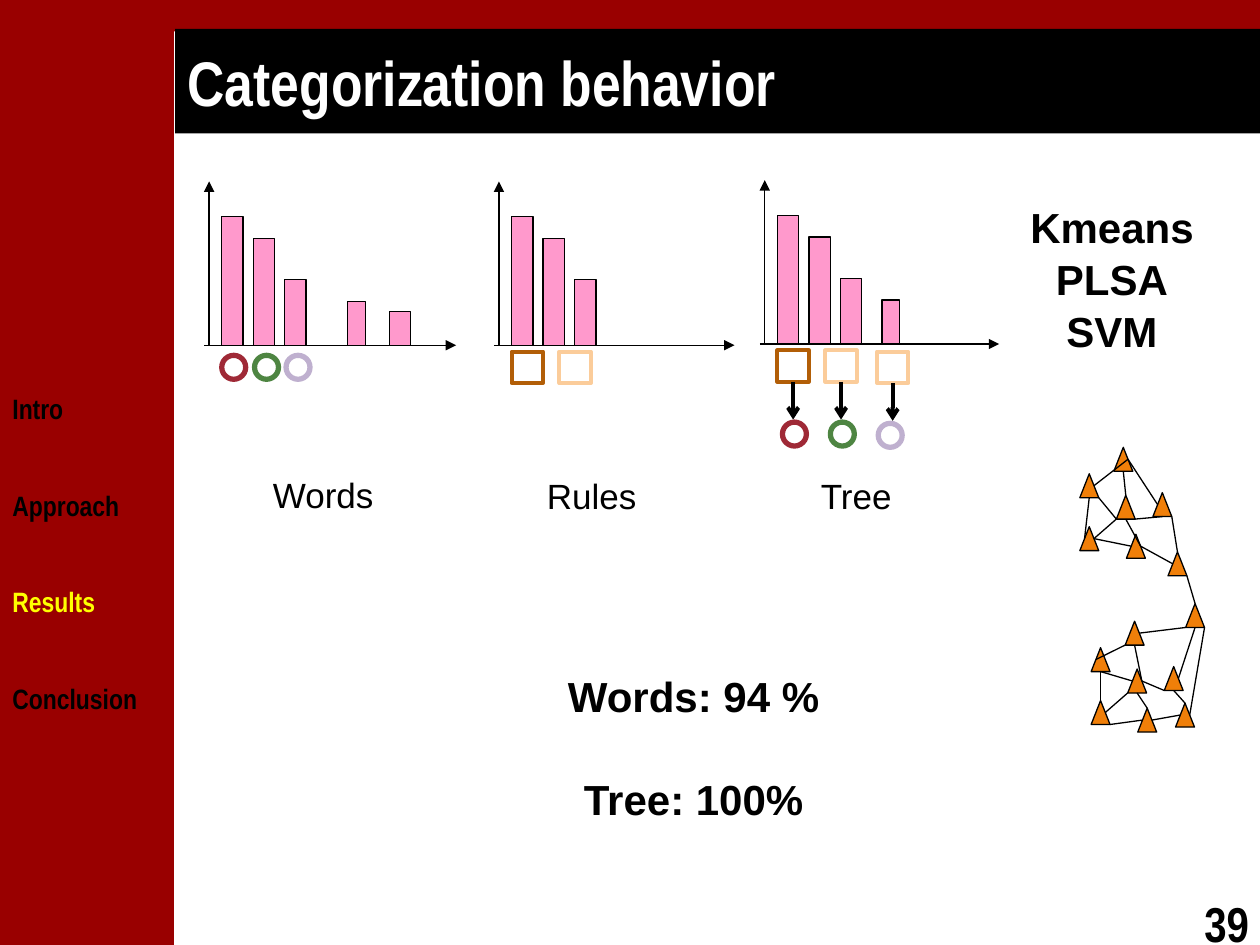
from lxml.etree import SubElement
from pptx import Presentation
from pptx.dml.color import RGBColor
from pptx.enum.shapes import MSO_CONNECTOR, MSO_SHAPE
from pptx.enum.text import MSO_ANCHOR, MSO_AUTO_SIZE, PP_ALIGN
from pptx.oxml.ns import qn
from pptx.util import Inches, Pt

BLACK = RGBColor(0x00, 0x00, 0x00)
WHITE = RGBColor(0xFF, 0xFF, 0xFF)
DARK_RED = RGBColor(0x99, 0x00, 0x00)
YELLOW = RGBColor(0xFF, 0xFF, 0x00)
PINK = RGBColor(0xFF, 0x99, 0xCC)
ORANGE = RGBColor(0xF0, 0x7F, 0x09)
CRIMSON = RGBColor(0x9F, 0x29, 0x36)
GREEN = RGBColor(0x4E, 0x85, 0x42)
LILAC = RGBColor(0xBF, 0xB0, 0xCF)
BROWN = RGBColor(0xB2, 0x5E, 0x07)
PEACH = RGBColor(0xFB, 0xCC, 0x9A)

# Content
TITLE = "Categorization behavior"
SECTIONS = ["Intro", "Approach", "Results", "Conclusion"]
CURRENT = "Results"
METHODS = ["Kmeans", "PLSA", "SVM"]
SCORES = ["Words: 94 %", "Tree: 100%"]

# Bars are (offset from the axis, width, height), markers (offset, drop, colour)
COMMON_BARS = [(0.10, 0.17, 1.02), (0.35, 0.17, 0.85), (0.60, 0.17, 0.52)]
HISTOGRAMS = [
    dict(label="Words", label_at=(1.69, 3.71), origin=(1.66, 2.74), length=2.0,
         bars=[(1.10, 0.14, 0.35), (1.43, 0.17, 0.27)], squares=[],
         circles=[(0.10, 0.08, CRIMSON), (0.36, 0.08, GREEN), (0.61, 0.08, LILAC)]),
    dict(label="Rules", label_at=(3.82, 3.72), origin=(3.96, 2.74), length=1.91,
         bars=[], circles=[],
         squares=[(0.10, 0.05, BROWN), (0.48, 0.05, PEACH)]),
    dict(label="Tree", label_at=(5.92, 3.72), origin=(6.07, 2.73), length=1.9,
         bars=[(0.93, 0.14, 0.35)],
         squares=[(0.10, 0.05, BROWN), (0.48, 0.05, PEACH), (0.89, 0.06, PEACH)],
         circles=[(0.14, 0.62, CRIMSON), (0.52, 0.62, GREEN), (0.90, 0.63, LILAC)]),
]

# Network: the lower cluster (small letters) repeats the upper one, shifted
CLUSTER = {"A": (8.57, 3.76), "B": (8.57, 4.18), "C": (8.86, 3.93),
           "D": (8.84, 3.55), "E": (8.94, 4.24), "F": (9.15, 3.91)}
SHIFT = (0.09, 1.38)
BRIDGE = {"G": (9.27, 4.38), "H": (9.41, 4.79), "g": (9.33, 5.58)}
NODE_W, NODE_H = 0.15, 0.19
# Points of a triangle as fractions of its box
SITES = {"top": (0.5, 0), "left": (0.25, 0.5), "right": (0.75, 0.5),
         "bl": (0, 1), "base": (0.5, 1), "br": (1, 1)}
EDGES = """
C.top D.base, C.bl A.br, C.br F.base, A.base B.left, A.right D.right,
F.br G.top, G.left E.right, E.left B.right, E.right C.base, D.right F.left,
B.right C.bl, G.br H.top, H.bl d.right, H.base f.right, d.bl a.left,
d.base c.right, c.right f.bl, c.left a.base, b.top a.base, b.br e.left,
b.right c.bl, e.top c.base, e.right g.left, f.base g.top, g.right H.br
"""

prs = Presentation()
prs.slide_width, prs.slide_height = Inches(10), Inches(7.5)
s = prs.slides.add_slide(prs.slide_layouts[5])


def add_box(kind, x, y, w, h, fill=None, line=None, width=0.75):
    sp = s.shapes.add_shape(kind, Inches(x), Inches(y), Inches(w), Inches(h))
    sp.shadow.inherit = False
    if fill is None:
        sp.fill.background()
    else:
        sp.fill.solid()
        sp.fill.fore_color.rgb = fill
    if line is None:
        sp.line.fill.background()
    else:
        sp.line.color.rgb = line
        sp.line.width = Pt(width)
    return sp


def add_line(x1, y1, x2, y2, width=0.75, head=None):
    ln = s.shapes.add_connector(MSO_CONNECTOR.STRAIGHT, Inches(x1), Inches(y1),
                                Inches(x2), Inches(y2))
    ln.line.color.rgb = BLACK
    ln.line.width = Pt(width)
    if head:
        SubElement(ln.line._get_or_add_ln(), qn("a:tailEnd"), type=head)
    SubElement(ln._element.spPr, qn("a:effectLst"))
    return ln


def add_run(p, text, size, font, color=BLACK, bold=True):
    r = p.add_run()
    r.text = text
    r.font.size, r.font.name, r.font.bold = Pt(size), font, bold
    r.font.color.rgb = color


def add_text(lines, x, y, w, h, size, font="Arial", bold=True,
             align=PP_ALIGN.CENTER, gap=0, colors=None, wrap=True):
    tf = s.shapes.add_textbox(Inches(x), Inches(y), Inches(w), Inches(h)).text_frame
    tf.word_wrap = wrap
    for i, text in enumerate(lines):
        p = tf.paragraphs[0] if i == 0 else tf.add_paragraph()
        p.alignment = align
        if i:
            p.space_before = Pt(gap)
        add_run(p, text, size, font, (colors or {}).get(text, BLACK), bold)


# Frame, page number and title
add_box(MSO_SHAPE.RECTANGLE, 0, 0, 1.38, 7.5, DARK_RED)
add_box(MSO_SHAPE.RECTANGLE, 0, 0, 10, 0.25, DARK_RED)
add_text(["39"], 9.46, 7.04, 0.59, 0.57, 28, "Arial Narrow",
         align=PP_ALIGN.LEFT, wrap=False)
title = s.shapes.title
title.left, title.top = Inches(1.39), Inches(0.23)
title.width, title.height = Inches(8.61), Inches(0.83)
title.fill.solid()
title.fill.fore_color.rgb = BLACK
tf = title.text_frame
tf.auto_size = MSO_AUTO_SIZE.NONE
tf.vertical_anchor = MSO_ANCHOR.MIDDLE
tf.paragraphs[0].alignment = PP_ALIGN.LEFT
add_run(tf.paragraphs[0], TITLE, 36, "Arial Narrow", WHITE)
s.shapes._spTree.append(title._element)  # in front of the red bands

# Histograms with their markers
for hist in HISTOGRAMS:
    x0, y0 = hist["origin"]
    add_line(x0 - 0.04, y0, x0 - 0.04 + hist["length"], y0, head="triangle")
    add_line(x0, y0, x0, y0 - 1.3, head="triangle")
    for dx, w, h in COMMON_BARS + hist["bars"]:
        add_box(MSO_SHAPE.RECTANGLE, x0 + dx, y0 - h, w, h, PINK, BLACK)
    squares = [add_box(MSO_SHAPE.RECTANGLE, x0 + dx, y0 + dy, 0.25, 0.25,
                       line=color, width=2.25)
               for dx, dy, color in hist["squares"]]
    for dx, dy, color in hist["circles"]:
        add_box(MSO_SHAPE.OVAL, x0 + dx, y0 + dy, 0.19, 0.19, line=color, width=3)
    if hist["circles"]:
        for sq, (dx, dy, _) in zip(squares, hist["squares"]):
            x, y = x0 + dx + 0.125, y0 + dy + 0.25
            add_line(x, y, x, y + 0.3, 2.25, "arrow").begin_connect(sq, 2)
    add_text([hist["label"]], *hist["label_at"], 1.75, 0.44, 20, bold=False)

# Network
lower = {k.lower(): (x + SHIFT[0], y + SHIFT[1]) for k, (x, y) in CLUSTER.items()}
nodes = {**CLUSTER, **lower, **BRIDGE}
for x, y in nodes.values():
    add_box(MSO_SHAPE.ISOSCELES_TRIANGLE, x, y, NODE_W, NODE_H, ORANGE, BLACK)


def site(ref):
    node, place = ref.split(".")
    (x, y), (fx, fy) = nodes[node], SITES[place]
    return x + fx * NODE_W, y + fy * NODE_H


for edge in EDGES.split(","):
    start, end = edge.split()
    add_line(*site(start), *site(end))

# Results, methods and section list
add_text(SCORES, 3.69, 5.27, 3.63, 1.31, 24, gap=30)
add_text(METHODS, 7.65, 1.55, 2.35, 1.31, 24, gap=1)
add_text(SECTIONS, 0, 3.06, 1.35, 2.61, 16, "Arial Narrow", align=PP_ALIGN.LEFT,
         gap=36, colors={CURRENT: YELLOW})

prs.save("out.pptx")
